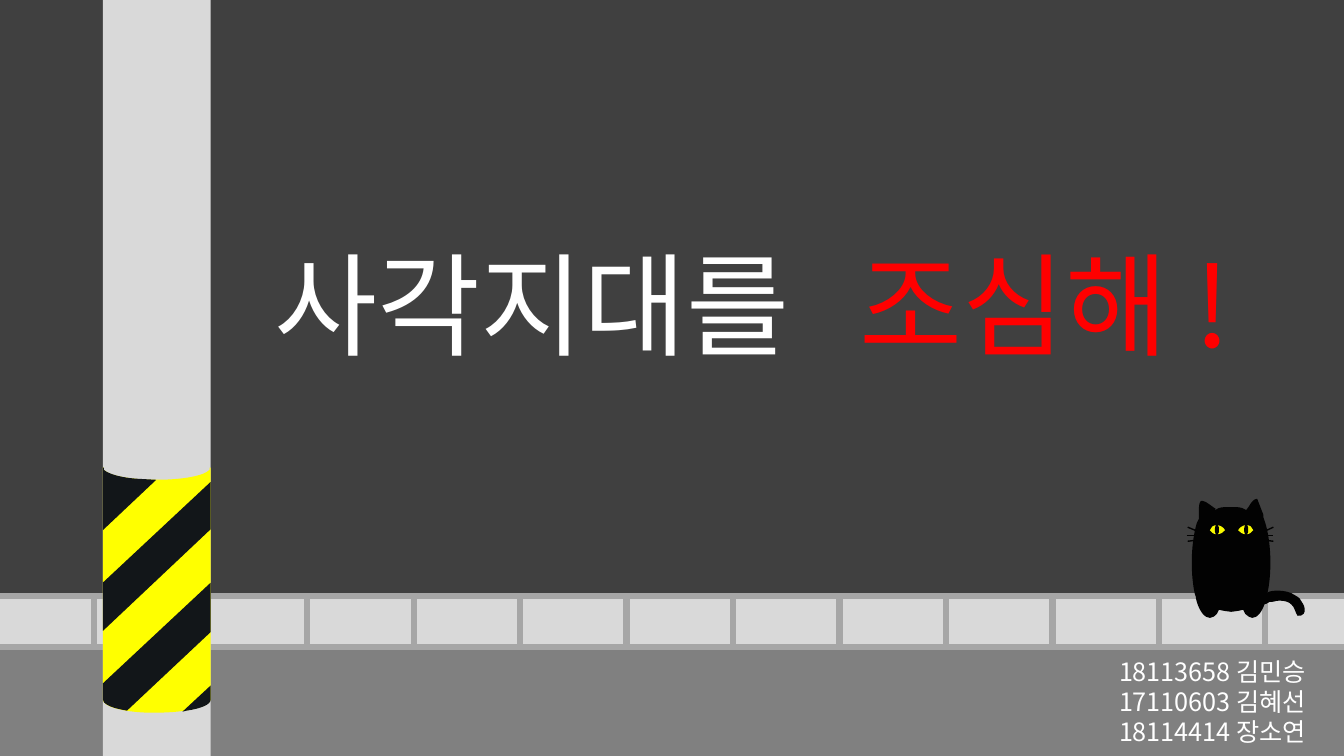
"""Build the title slide about watching out for blind spots."""
import pptx
import pptx.util
import pptx.dml.color
import pptx.enum.shapes
import pptx.enum.text
import pptx.oxml
import pptx.oxml.ns

Inches = pptx.util.Inches
Pt = pptx.util.Pt
RGBColor = pptx.dml.color.RGBColor
SHAPE = pptx.enum.shapes.MSO_SHAPE
ALIGN = pptx.enum.text.PP_ALIGN

WALL = RGBColor(0x40, 0x40, 0x40)
ROAD = RGBColor(0x80, 0x80, 0x80)
CONCRETE = RGBColor(0xD9, 0xD9, 0xD9)
JOINT = RGBColor(0xA6, 0xA6, 0xA6)
CAT = RGBColor(0x02, 0x02, 0x02)
EYE = RGBColor(0xF9, 0xFA, 0x00)
YELLOW = RGBColor(0xFF, 0xFF, 0x00)
STRIPE = RGBColor(0x12, 0x16, 0x19)
WHITE = RGBColor(0xFF, 0xFF, 0xFF)
RED = RGBColor(0xFF, 0x00, 0x00)
FONT = "Noto Sans CJK KR"

TILE_COUNT = 13
TILE_PITCH = 12.67 / 12
EYE_AXIS_SUM = 2443

CAT_BODY = """M 1246 495 C 1246 495 1246 495 1247 495 L 1252 508
C 1253 509 1253 511 1253 512 L 1253 513
L 1255 519 C 1258 529 1260 543 1260 558 C 1260 569 1259 580 1257 589 L 1257 592
L 1256 593 L 1255 597 C 1252 607 1247 613 1242 613 C 1240 613 1237 611 1235 609 L 1233 605
L 1228 606 C 1226 606 1224 607 1221 607 L 1214 606 L 1209 605 L 1207 609
C 1205 611 1203 613 1200 613 C 1195 613 1190 607 1187 597 L 1186 593 L 1186 592 L 1185 589
C 1183 580 1182 569 1182 558 C 1182 543 1184 529 1187 519 L 1189 515 L 1189 510
C 1189 504 1189 499 1191 497 C 1192 497 1192 497 1193 497 C 1196 497 1204 504 1206 505
L 1205 505 L 1205 506 L 1209 504 C 1212 503 1216 503 1221 503 C 1225 503 1229 503 1232 504
L 1236 506 L 1239 502 C 1241 498 1244 495 1246 495"""
CAT_TAIL = """M 1268 586 C 1272 586 1280 587 1285 591 C 1289 593 1290 595 1291 597
C 1293 600 1294 602 1294 604 C 1294 606 1294 608 1293 609 C 1292 610 1289 612 1287 611
C 1285 609 1284 602 1281 600 C 1279 597 1273 596 1270 596 C 1267 596 1265 596 1263 597
C 1260 597 1258 597 1256 599 L 1252 600 L 1253 597 C 1253 594 1253 592 1253 590
L 1257 588 C 1260 586 1264 586 1268 586"""
CAT_EYE = """M 1228 526 C 1229 524 1232 521 1236 521 C 1240 521 1242 523 1243 526
C 1241 528 1240 530 1236 530 C 1232 530 1230 528 1228 526"""
CAT_PUPIL = """M 1234 526 C 1234 524 1234 522 1235 521 L 1236 520 L 1237 521
C 1238 522 1238 524 1238 526 C 1238 527 1238 529 1237 530 L 1236 531 L 1235 530
C 1234 529 1234 527 1234 526"""
WHISKERS = [
    (11.78, 5.23, 11.90, 5.28), (11.77, 5.31, 11.89, 5.31), (11.78, 5.37, 11.86, 5.36),
    (12.52, 5.28, 12.63, 5.23), (12.54, 5.31, 12.63, 5.31), (12.55, 5.36, 12.63, 5.37),
]
GUARD_BAND = """M 102 464 L 103 464 L 103 466 C 108 472 130 476 156 476
C 181 476 203 472 208 466 L 208 464 L 209 464 L 209 694 C 209 701 185 707 156 707
C 152 707 148 707 145 707 C 121 706 102 701 102 694"""
GUARD_STRIPES = """M 209 680 L 209 694 C 209 699 199 703 185 705 L 181 706
M 209 578 L 209 627 L 126 705 L 121 704 C 110 702 102 698 102 694 L 102 678
M 209 478 L 209 525 L 102 626 L 102 578
M 102 464 L 103 464 L 103 466 C 107 470 120 474 137 475 L 155 476 L 102 526"""


def read_contours(outline):
    """Turn an outline in hundredths of an inch into contours of commands and points."""
    contours = []
    tokens = iter(outline.split())
    for command in tokens:
        points = [(int(next(tokens)), int(next(tokens)))
                  for _ in range(3 if command == "C" else 1)]
        if command == "M":
            contours.append([])
        contours[-1].append((command, points))
    return contours


def bend_lines(shape, commands):
    """Join each three lines that stand for a curve into one cubic curve."""
    lines = iter(list(shape._element.iter(pptx.oxml.ns.qn("a:lnTo"))))
    for command in commands:
        if command == "L":
            next(lines)
        elif command == "C":
            curve = pptx.oxml.parse_xml(
                "<a:cubicBezTo %s/>" % pptx.oxml.ns.nsdecls("a"))
            for index in range(3):
                line = next(lines)
                if index == 0:
                    line.addprevious(curve)
                curve.append(line[0])
                line.getparent().remove(line)


def paint(shape, fill, line=None, width=0):
    """Give a shape a flat fill and an optional outline."""
    shape.shadow.inherit = False
    shape.fill.solid()
    shape.fill.fore_color.rgb = fill
    if line is None:
        shape.line.fill.background()
    else:
        shape.line.color.rgb = line
        shape.line.width = Pt(width)


def add_block(shapes, kind, left, top, width, height, fill, line=None, line_width=0):
    """Add a preset shape."""
    shape = shapes.add_shape(kind, Inches(left), Inches(top), Inches(width), Inches(height))
    paint(shape, fill, line, line_width)


def add_outline(shapes, outline, fill, mirrored=False):
    """Add a filled freeform, mirrored across the face if asked."""
    builder = None
    contours = read_contours(outline)
    for contour in contours:
        points = [(Inches((EYE_AXIS_SUM - x if mirrored else x) / 100), Inches(y / 100))
                  for _, group in contour for x, y in group]
        if builder is None:
            builder = shapes.build_freeform(*points[0], scale=1.0)
        else:
            builder.move_to(*points[0])
        builder.add_line_segments(points[1:], close=True)
    shape = builder.convert_to_shape()
    bend_lines(shape, [command for contour in contours for command, _ in contour])
    paint(shape, fill)


def add_whisker(shapes, *ends):
    """Add a thin straight whisker."""
    whisker = shapes.add_connector(
        pptx.enum.shapes.MSO_CONNECTOR.STRAIGHT, *(Inches(end) for end in ends))
    whisker.line.color.rgb = CAT
    whisker.line.width = Pt(1)
    whisker._element.spPr.append(pptx.oxml.parse_xml(
        "<a:effectLst %s/>" % pptx.oxml.ns.nsdecls("a")))


def add_text(shapes, left, top, width, height, lines, size, color, wrap=True, align=None):
    """Add a text box with one paragraph per line."""
    box = shapes.add_textbox(Inches(left), Inches(top), Inches(width), Inches(height))
    frame = box.text_frame
    frame.word_wrap = wrap
    frame.auto_size = pptx.enum.text.MSO_AUTO_SIZE.SHAPE_TO_FIT_TEXT
    for index, line in enumerate(lines):
        paragraph = frame.add_paragraph() if index else frame.paragraphs[0]
        paragraph.alignment = align
        run = paragraph.add_run()
        run.text = line
        run.font.size = Pt(size)
        run.font.color.rgb = color
        run.font.name = FONT
        run._r.get_or_add_rPr().append(pptx.oxml.parse_xml(
            '<a:ea %s typeface="%s"/>' % (pptx.oxml.ns.nsdecls("a"), FONT)))


def add_street(shapes):
    """Add the road and the row of kerb stones."""
    add_block(shapes, SHAPE.RECTANGLE, 0, 6.13, 13.33, 1.39, ROAD)
    for index in range(TILE_COUNT):
        add_block(shapes, SHAPE.RECTANGLE, -0.12 + index * TILE_PITCH, 5.91,
                  TILE_PITCH, 0.51, CONCRETE, JOINT, 4.5)


def add_cat(shapes):
    """Add the sitting black cat."""
    add_outline(shapes, CAT_BODY, CAT)
    for mirrored in (True, False):
        add_outline(shapes, CAT_EYE, EYE, mirrored)
        add_outline(shapes, CAT_PUPIL, CAT, mirrored)
    for whisker in WHISKERS:
        add_whisker(shapes, *whisker)
    add_outline(shapes, CAT_TAIL, CAT)


def add_pole(shapes):
    """Add the pole with its striped guard."""
    add_block(shapes, SHAPE.CAN, 1.02, -0.65, 1.07, 8.51, CONCRETE)
    add_outline(shapes, GUARD_BAND, YELLOW)
    add_outline(shapes, GUARD_STRIPES, STRIPE)


def main():
    """Build and save the presentation."""
    presentation = pptx.Presentation()
    presentation.slide_width = Inches(13.33)
    presentation.slide_height = Inches(7.5)
    slide = presentation.slides.add_slide(presentation.slide_layouts[6])
    slide.background.fill.solid()
    slide.background.fill.fore_color.rgb = WALL
    for add_part in (add_street, add_cat, add_pole):
        add_part(slide.shapes.add_group_shape().shapes)
    add_text(slide.shapes, 2.62, 2.29, 5.88, 1.45, ["사각지대를"], 80, WHITE)
    add_text(slide.shapes, 11, 6.46, 2.31, 1.01,
             ["18113658 김민승", "17110603 김혜선", "18114414 장소연"],
             18, WHITE, wrap=False, align=ALIGN.JUSTIFY)
    add_text(slide.shapes, 8.43, 2.29, 4.56, 1.45, ["조심해 !"], 80, RED)
    presentation.save("out.pptx")


if __name__ == "__main__":
    main()
